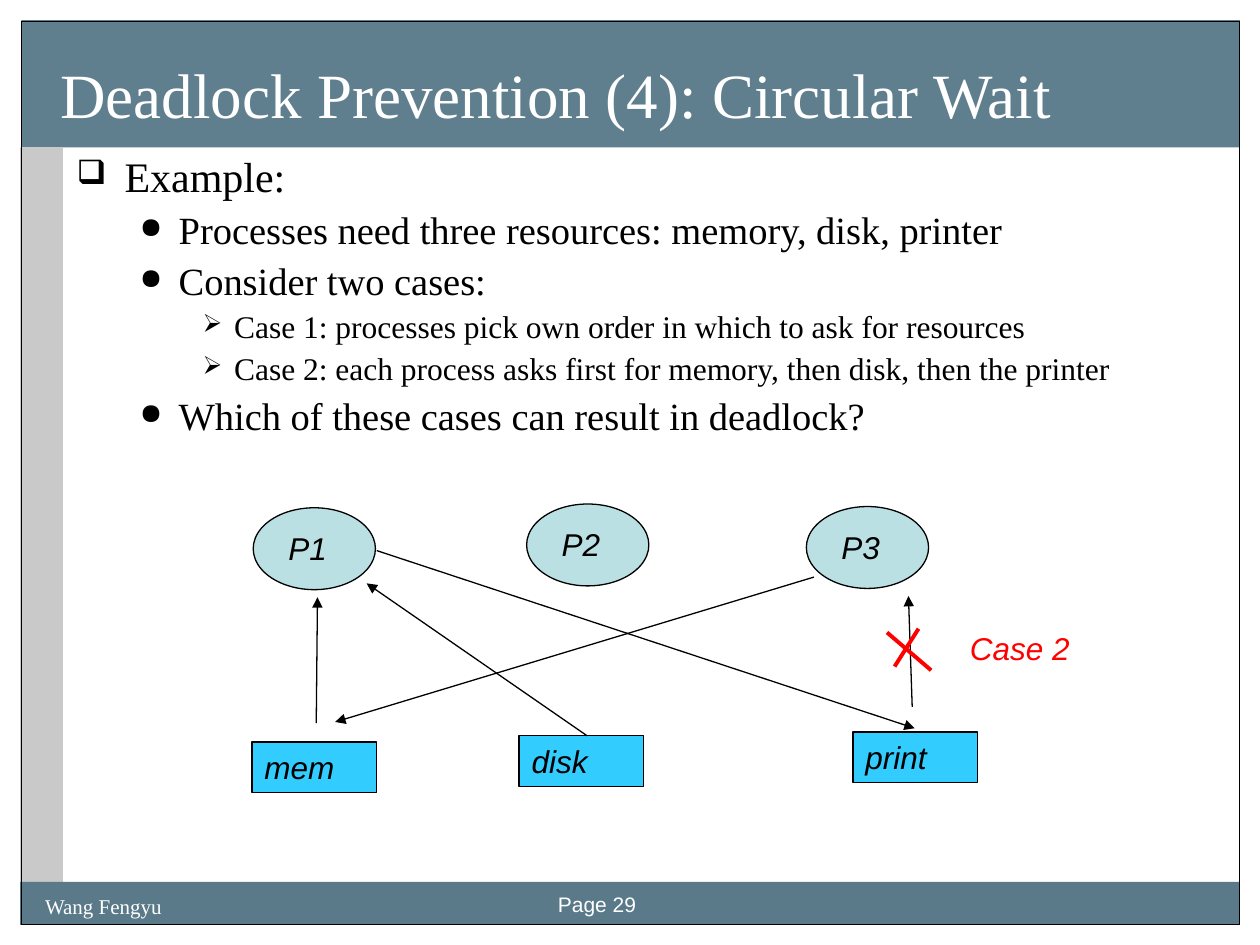
from typing import NamedTuple

import lxml.etree
import pptx
import pptx.dml.color
import pptx.enum.shapes
import pptx.enum.text
import pptx.oxml.ns
import pptx.util

Inches = pptx.util.Inches
Pt = pptx.util.Pt
Kind = pptx.enum.shapes.MSO_SHAPE
Anchor = pptx.enum.text.MSO_ANCHOR
qn = pptx.oxml.ns.qn

HEX = {
    "band": "3E6376", "side": "C9C9C9", "black": "000000", "white": "FFFFFF",
    "box": "33CCFF", "oval": "BBE0E3", "red": "FF0000",
}
SERIF, SANS = "Times New Roman", "Arial"


class Node(NamedTuple):
    name: str
    left: float
    top: float


class Edge(NamedTuple):
    start: tuple[float, float]
    end: tuple[float, float]
    color: str = "black"
    width: float = 0.75
    arrow: bool = True


class Level(NamedTuple):
    size: float
    before: float
    indent: float
    hang: float
    mark: str
    scale: int


LEVELS = [
    Level(24, 6, 0.38, 0.38, "❑", 80),
    Level(22, 5.5, 0.81, 0.31, "●", 75),
    Level(18, 4.5, 1.25, 0.25, "➢", 80),
]
POINTS = [
    (0, "Example:"),
    (1, "Processes need three resources: memory, disk, printer"),
    (1, "Consider two cases:"),
    (2, "Case 1: processes pick own order in which to ask for resources"),
    (2, "Case 2: each process asks first for memory, then disk, then the printer"),
    (1, "Which of these cases can result in deadlock?"),
]
BOXES = [Node("mem", 2, 5.89), Node("print", 6.77, 5.81), Node("disk", 4.12, 5.84)]
OVALS = [Node("P1", 2.01, 4.03), Node("P2", 4.18, 4), Node("P3", 6.4, 4.02)]
EDGES = [
    Edge((2.51, 5.74), (2.52, 4.74)),
    Edge((4.66, 5.84), (2.91, 4.63)),
    Edge((2.99, 4.37), (7.26, 5.78)),
    Edge((6.46, 4.58), (2.66, 5.73)),
    Edge((7.24, 5.61), (7.21, 4.73)),
    Edge((7.04, 5.02), (7.39, 5.32), "red", 2.25, False),
    Edge((7.29, 4.99), (7.1, 5.29), "red", 2.25, False),
]


def rgb(name: str) -> pptx.dml.color.RGBColor:
    return pptx.dml.color.RGBColor.from_string(HEX[name])


def write(para, text: str, *, size: float, font: str = SANS,
          color: str = "black", italic: bool = False) -> None:
    para.alignment = pptx.enum.text.PP_ALIGN.LEFT
    run = para.add_run()
    run.text = text
    run.font.size = Pt(size)
    run.font.name = font
    run.font.italic = italic
    run.font.color.rgb = rgb(color)


def place(shape, left: float, top: float, width: float, height: float) -> None:
    shape.left, shape.top = Inches(left), Inches(top)
    shape.width, shape.height = Inches(width), Inches(height)


def frame(shape, anchor=Anchor.TOP):
    """Set the shape's text to wrap at a fixed size and return its frame."""
    body = shape.text_frame
    body.word_wrap = True
    body.auto_size = pptx.enum.text.MSO_AUTO_SIZE.NONE
    body.vertical_anchor = anchor
    return body


def label(slide, text: str, left: float, top: float, width: float,
          height: float = 0.4, **style) -> None:
    box = slide.shapes.add_textbox(*map(Inches, (left, top, width, height)))
    write(frame(box).paragraphs[0], text, **style)


def block(slide, kind, left: float, top: float, width: float, height: float,
          fill: str = "", line: str = "", alpha: int = 100):
    shape = slide.shapes.add_shape(kind, *map(Inches, (left, top, width, height)))
    shape.shadow.inherit = False
    if fill:
        shape.fill.solid()
        shape.fill.fore_color.rgb = rgb(fill)
    else:
        shape.fill.background()
    if alpha < 100:
        tone = next(shape.fill._xPr.iter(qn("a:srgbClr")))
        lxml.etree.SubElement(tone, qn("a:alpha"), val=str(alpha * 1000))
    if line:
        shape.line.color.rgb = rgb(line)
        shape.line.width = Pt(0.75)
    else:
        shape.line.fill.background()
    return shape


def join(slide, edge: Edge) -> None:
    link = slide.shapes.add_connector(
        pptx.enum.shapes.MSO_CONNECTOR.STRAIGHT,
        *map(Inches, edge.start + edge.end))
    link.line.color.rgb = rgb(edge.color)
    link.line.width = Pt(edge.width)
    if edge.arrow:
        lxml.etree.SubElement(link.line._get_or_add_ln(), qn("a:tailEnd"),
                              type="triangle")
    lxml.etree.SubElement(link._element.spPr, qn("a:effectLst"))


def bullet(para, level: Level) -> None:
    props = para._p.get_or_add_pPr()
    props.set("marL", str(Inches(level.indent)))
    props.set("indent", str(-Inches(level.hang)))
    tint = lxml.etree.SubElement(props, qn("a:buClr"))
    lxml.etree.SubElement(tint, qn("a:srgbClr"), val=HEX["black"])
    lxml.etree.SubElement(props, qn("a:buSzPct"), val=str(level.scale * 1000))
    lxml.etree.SubElement(props, qn("a:buChar"), char=level.mark)


def outline(slide) -> None:
    box = slide.shapes.add_textbox(*map(Inches, (0.51, 1.19, 9.25, 2.76)))
    body = frame(box)
    for num, (depth, text) in enumerate(POINTS):
        para = body.add_paragraph() if num else body.paragraphs[0]
        level = LEVELS[depth]
        para.level = depth
        bullet(para, level)
        para.line_spacing = 0.9
        if num:
            para.space_before = Pt(level.before)
        write(para, text, size=level.size, font=SERIF)


def head(slide, text: str) -> None:
    title = slide.shapes.title
    place(title, 0.18, 0.17, 9.67, 1)
    body = frame(title, Anchor.BOTTOM)
    body.margin_left, body.margin_bottom = Inches(0.3), Inches(0.13)
    write(body.paragraphs[0], text, size=36, font=SERIF, color="white")
    slide.shapes._spTree.append(title._element)  # in front of the band


def main() -> None:
    deck = pptx.Presentation()
    deck.slide_width, deck.slide_height = Inches(10), Inches(7.5)
    slide = deck.slides.add_slide(deck.slide_layouts[5])

    block(slide, Kind.RECTANGLE, 0.17, 0.16, 9.67, 1.01, "band", alpha=82)
    block(slide, Kind.RECTANGLE, 0.16, 1.17, 0.34, 5.83, "side")
    block(slide, Kind.RECTANGLE, 0.16, 7, 9.68, 0.34, "band", alpha=85)
    block(slide, Kind.RECTANGLE, 0.17, 0.17, 9.67, 7.17, line="black")
    label(slide, "Wang Fengyu", 0.26, 7.04, 1.67, 0.27,
          size=12, font=SERIF, color="white")
    label(slide, "Page 29", 4.33, 7.03, 1.5, 0.27, size=12, color="white")
    head(slide, "Deadlock Prevention (4): Circular Wait")
    outline(slide)

    for node in BOXES:
        box = block(slide, Kind.RECTANGLE, node.left, node.top, 0.99, 0.4,
                    "box", "black")
        write(frame(box).paragraphs[0], node.name, size=18, italic=True)
    for node in OVALS:
        block(slide, Kind.OVAL, node.left, node.top, 0.97, 0.65, "oval", "black")
        label(slide, node.name, node.left + 0.18, node.top + 0.12, 0.62,
              size=18, italic=True)
    for edge in EDGES:
        join(slide, edge)
    label(slide, "Case 2", 7.6, 4.94, 1.16, size=18, color="red", italic=True)

    deck.save("out.pptx")


if __name__ == "__main__":
    main()
